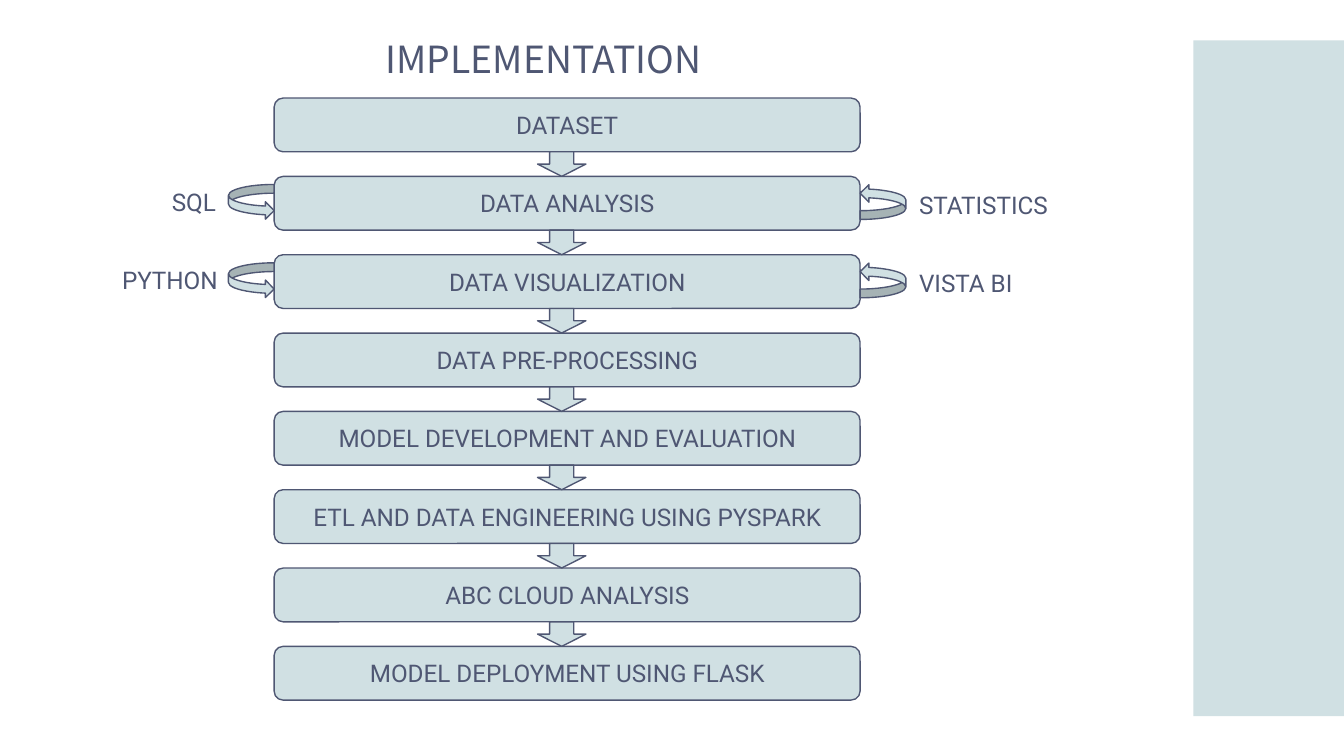
from dataclasses import dataclass

from pptx import Presentation
from pptx.dml.color import RGBColor
from pptx.enum.shapes import MSO_SHAPE
from pptx.enum.text import MSO_ANCHOR, PP_ALIGN
from pptx.util import Inches, Pt

RECT = MSO_SHAPE.RECTANGLE
ROUND = MSO_SHAPE.ROUNDED_RECTANGLE
DOWN = MSO_SHAPE.DOWN_ARROW
CURVED = MSO_SHAPE.CURVED_RIGHT_ARROW
TOP, MIDDLE = MSO_ANCHOR.TOP, MSO_ANCHOR.MIDDLE
LEFT, CENTER = PP_ALIGN.LEFT, PP_ALIGN.CENTER

TITLE = "IMPLEMENTATION"
STEPS = [
    "DATASET",
    "DATA ANALYSIS",
    "DATA VISUALIZATION",
    "DATA PRE-PROCESSING",
    "MODEL DEVELOPMENT AND EVALUATION",
    "ETL AND DATA ENGINEERING USING PYSPARK",
    "ABC CLOUD ANALYSIS",
    "MODEL DEPLOYMENT USING FLASK",
]
TOOLS = [
    (1, ("SQL", 1.18, 1.56), "STATISTICS"),
    (2, ("PYTHON", 0.81, 0.94), "VISTA BI"),
]


@dataclass(frozen=True)
class Theme:
    ink: RGBColor = RGBColor(0x4F, 0x57, 0x73)
    fill: RGBColor = RGBColor(0xD0, 0xE0, 0xE3)
    title_font: str = "Noto Sans CJK KR"
    body_font: str = "Roboto"
    title_size: int = 20
    body_size: int = 13
    line: float = 0.75


T = Theme()
W = 10
H = W * 9 / 16
BOX_X, BOX_W, BOX_H = 2.04, 4.36, 0.4
FIRST, LAST = 0.73, 4.81
PITCH = (LAST - FIRST) / (len(STEPS) - 1)
ARROW_X, ARROW_W = 4, 0.36
LOOP_W, LOOP_H = 0.34, 0.26
BOX_R = BOX_X + BOX_W


def add_shape(kind, x, y, w, h, outlined=True):
    sp = slide.shapes.add_shape(kind, Inches(x), Inches(y), Inches(w), Inches(h))
    sp.shadow.inherit = False
    sp.fill.solid()
    sp.fill.fore_color.rgb = T.fill
    if outlined:
        sp.line.color.rgb = T.ink
        sp.line.width = Pt(T.line)
    else:
        sp.line.fill.background()
    return sp


def set_text(sp, text, font=T.body_font, size=T.body_size, align=LEFT, anchor=TOP):
    tf = sp.text_frame
    tf.text = text
    tf.word_wrap = True
    tf.vertical_anchor = anchor
    tf.margin_left = tf.margin_right = tf.margin_top = tf.margin_bottom = Inches(0.1)
    p = tf.paragraphs[0]
    p.alignment = align
    f = p.runs[0].font
    f.name, f.size, f.color.rgb = font, Pt(size), T.ink


def add_label(text, x, y, w, h, **style):
    sp = slide.shapes.add_textbox(Inches(x), Inches(y), Inches(w), Inches(h))
    set_text(sp, text, **style)


prs = Presentation()
prs.slide_width, prs.slide_height = Inches(W), Inches(H)
slide = prs.slides.add_slide(prs.slide_layouts[6])

add_shape(RECT, 8.88, 0.3, W - 8.88, 5.03, outlined=False)
add_label(TITLE, 2.77, 0.27, 3.53, 0.33,
          font=T.title_font, size=T.title_size, anchor=MIDDLE)

rows = [FIRST + i * PITCH for i in range(len(STEPS))]
for text, y in zip(STEPS, rows):
    sp = add_shape(ROUND, BOX_X, y, BOX_W, BOX_H)
    set_text(sp, text, align=CENTER, anchor=MIDDLE)

for y in rows[:-1]:
    add_shape(DOWN, ARROW_X, y + BOX_H, ARROW_W, PITCH - BOX_H)

for row, (left_text, left_x, left_w), right_text in TOOLS:
    y = rows[row]
    loop_y = y + 0.06
    add_shape(CURVED, BOX_X - LOOP_W, loop_y, LOOP_W, LOOP_H)
    add_shape(CURVED, BOX_R, loop_y, LOOP_W, LOOP_H).rotation = 180
    add_label(left_text, left_x, y - 0.02, left_w, 0.42)
    add_label(right_text, BOX_R + LOOP_W, y, 1.56, 0.47)

prs.save("out.pptx")
